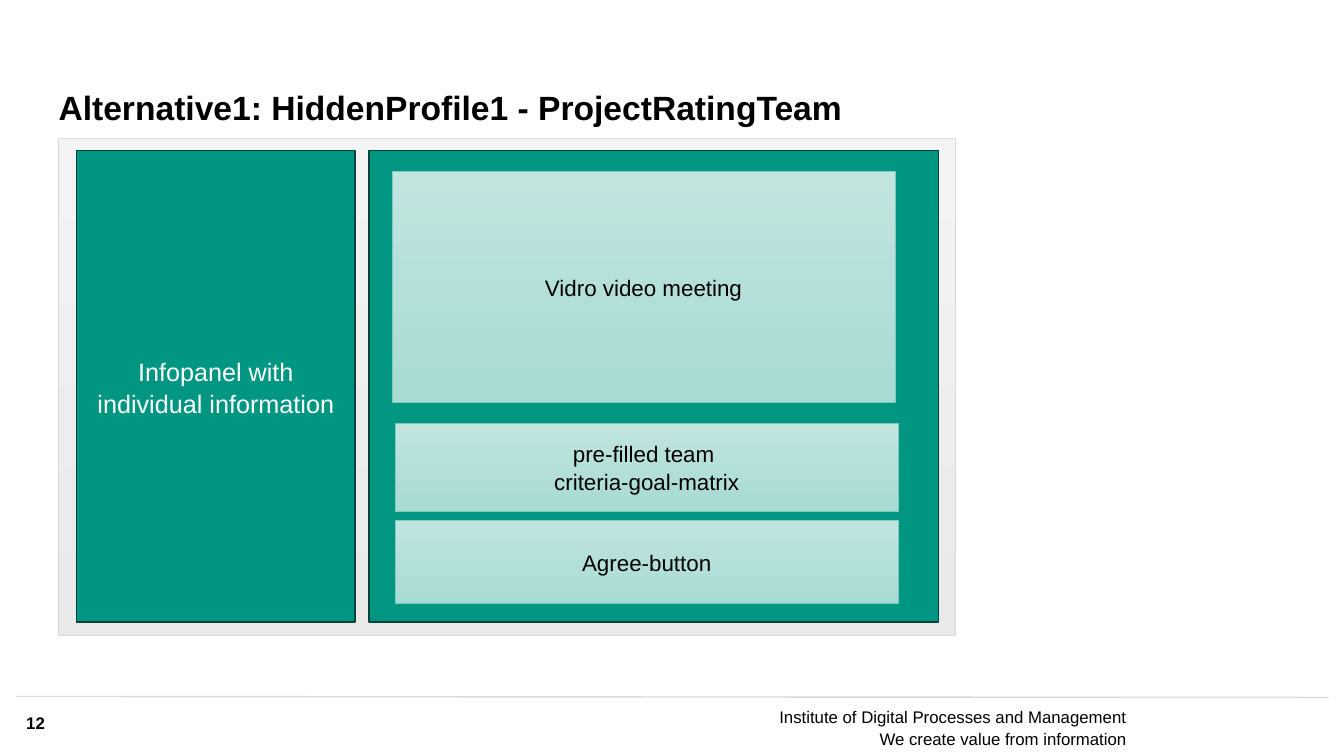
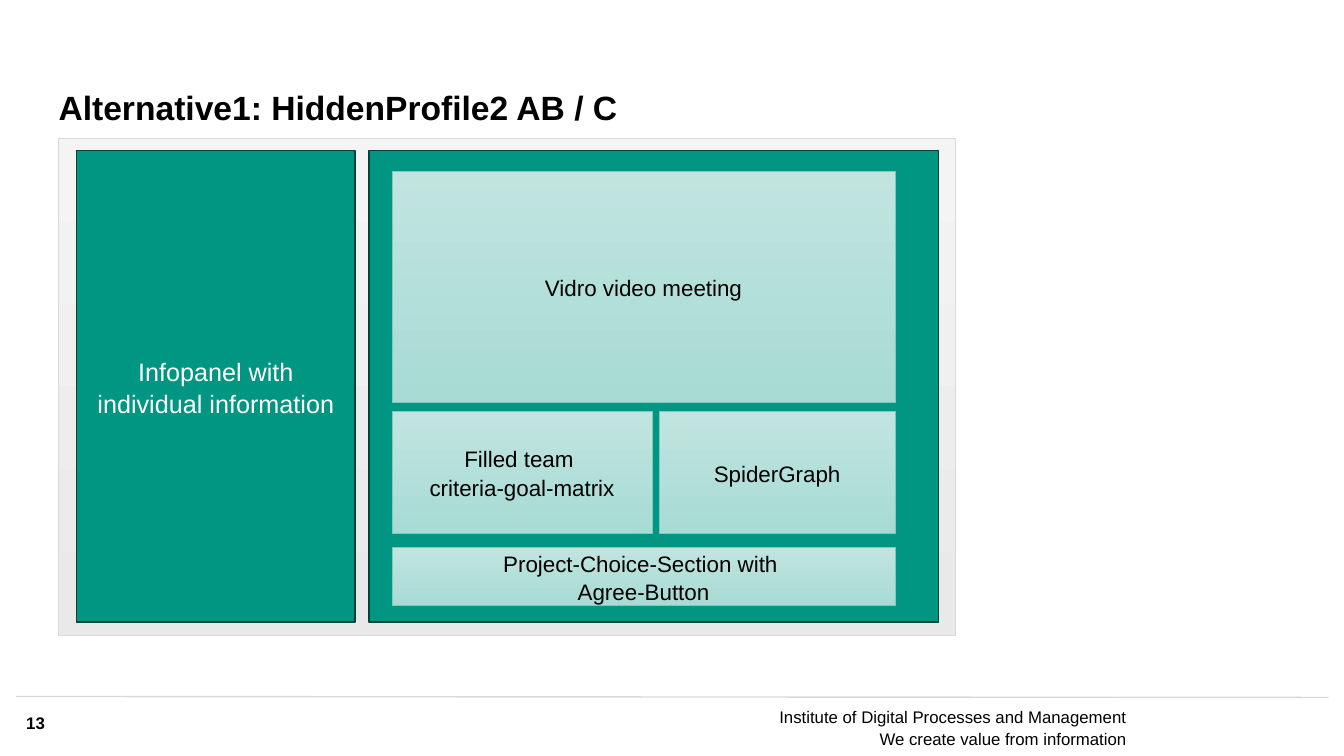
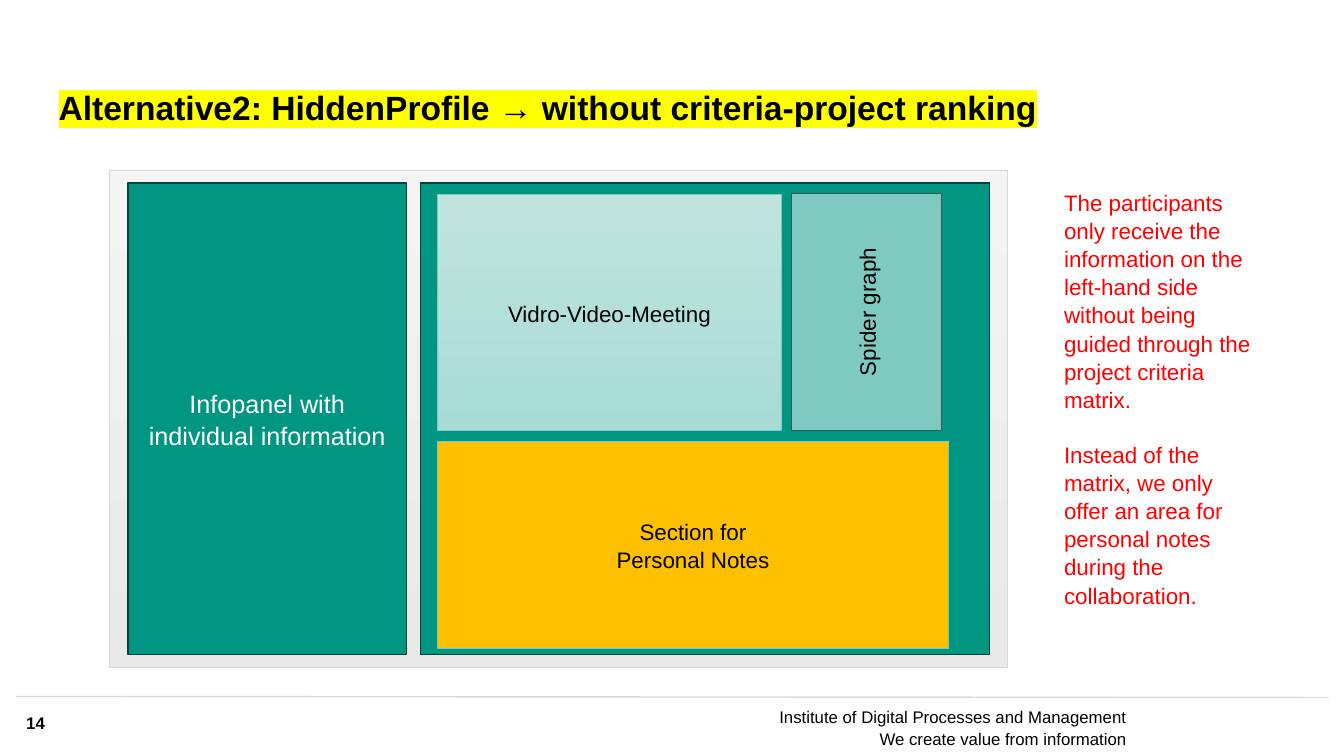
"""Build three slides that show the screen layouts of a team experiment."""
import lxml.etree
import pptx
import pptx.dml.color
import pptx.enum.shapes
import pptx.enum.text
import pptx.oxml.ns
import pptx.util

Pt = pptx.util.Pt
ALIGN = pptx.enum.text.PP_ALIGN
ANCHOR = pptx.enum.text.MSO_ANCHOR
qn = pptx.oxml.ns.qn

BOX_FRAME = {"word_wrap": True, "vertical_anchor": ANCHOR.MIDDLE}
CENTRED = {"alignment": ALIGN.CENTER, "line_spacing": 1.05}
FLUSH = {"word_wrap": True, "margin_left": 0, "margin_right": 0, "margin_top": 0, "margin_bottom": 0}

STYLES = {
    "title": {"frame": {**FLUSH, "vertical_anchor": ANCHOR.BOTTOM}, "paragraph": {"line_spacing": 0.9},
              "font": {"size": Pt(24), "bold": True}},
    "footer": {"frame": FLUSH, "paragraph": {"alignment": ALIGN.RIGHT, "line_spacing": 1.08},
               "font": {"size": Pt(12)}},
    "number": {"frame": FLUSH, "font": {"size": Pt(12), "bold": True}},
    "remark": {"frame": {"word_wrap": True}, "paragraph": {"line_spacing": 1.05, "space_after": Pt(19)},
               "font": {"size": Pt(16)}, "ink": "FF0000"},
    "screen": {"fill": ["F4F4F4", "E9E9E9"], "line": ("D9D9D9", 0.5)},
    "panel": {"fill": ["009682"], "line": ("004239", 1), "frame": BOX_FRAME, "paragraph": CENTRED,
              "font": {"size": Pt(18)}, "ink": "FFFFFF"},
    "tile": {"fill": ["C1E4DF", "A7DBD4"], "line": ("7FCAC0", 0.5), "frame": BOX_FRAME,
             "paragraph": CENTRED, "font": {"size": Pt(16)}},
}
STYLES["notes"] = {**STYLES["tile"], "fill": ["FFC000"]}
STYLES["upright"] = {**STYLES["tile"], "fill": ["7FCAC0"], "line": ("385954", 1), "vert": "vert270"}
STYLES["marked title"] = {**STYLES["title"], "highlight": "FFFF00"}

TILE_LEFT, TILE_WIDTH = 280, 359.3
VIDEO = ("Vidro video meeting", "tile", (TILE_LEFT, 122.4, TILE_WIDTH, 165))
SLIDES = [
    {"title": "Alternative1: HiddenProfile1 - ProjectRatingTeam", "style": "title", "screen": (41.8, 98.6),
     "blocks": [
         ("pre-filled team \vcriteria-goal-matrix", "tile", (282.3, 302.4, TILE_WIDTH, 62.7)),
         ("Agree-button", "tile", (282.3, 372, TILE_WIDTH, 59)),
         VIDEO]},
    {"title": "Alternative1: HiddenProfile2 AB / C", "style": "title", "screen": (41.8, 98.6),
     "blocks": [
         ("Filled team \vcriteria-goal-matrix", "tile", (TILE_LEFT, 293.8, 185.8, 87.3)),
         VIDEO,
         ("SpiderGraph", "tile", (470.9, 293.8, 168.5, 87.3)),
         ("Project-Choice-Section with \vAgree-Button", "tile", (TILE_LEFT, 391, TILE_WIDTH, 41.6))]},
    {"title": "Alternative2: HiddenProfile → without criteria-project ranking", "style": "marked title",
     "screen": (78.5, 121.8),
     "blocks": [
         ("Vidro-Video-Meeting", "tile", (312.4, 139, 245.8, 168.5)),
         ("Spider graph", "upright", (565.2, 138.4, 107.3, 169)),
         ("Section for\nPersonal Notes", "notes", (312.4, 315.3, 365.2, 147.6)),
         ("The participants only receive the information on the left-hand side without being guided "
          "through the project criteria matrix.\nInstead of the matrix, we only offer an area for "
          "personal notes during the collaboration.", "remark", (753, 130.4, 156.2, 298))]},
]


def colour(hex_text):
    return pptx.dml.color.RGBColor.from_string(hex_text)


def add_block(slide, text, style_name, box):
    style = STYLES[style_name]
    place = [Pt(length) for length in box]
    if "fill" in style:
        shape = slide.shapes.add_shape(pptx.enum.shapes.MSO_SHAPE.RECTANGLE, *place)
        shape.shadow.inherit = False
        if len(style["fill"]) == 1:
            shape.fill.solid()
            shape.fill.fore_color.rgb = colour(style["fill"][0])
        else:
            shape.fill.gradient()
            shape.fill.gradient_angle = 270
            for stop, shade in zip(shape.fill.gradient_stops, style["fill"]):
                stop.color.rgb = colour(shade)
        shade, width = style["line"]
        shape.line.color.rgb = colour(shade)
        shape.line.width = Pt(width)
    else:
        shape = slide.shapes.add_textbox(*place)
    if not text:
        return
    frame = shape.text_frame
    frame.text = text
    for name, value in style["frame"].items():
        setattr(frame, name, value)
    if "vert" in style:
        shape.element.txBody.find(qn("a:bodyPr")).set("vert", style["vert"])
    for paragraph in frame.paragraphs:
        for name, value in style.get("paragraph", {}).items():
            setattr(paragraph, name, value)
        for run in paragraph.runs:
            for name, value in {"name": "Arial", **style["font"]}.items():
                setattr(run.font, name, value)
            run.font.color.rgb = colour(style.get("ink", "000000"))
            if "highlight" in style:
                highlight = lxml.etree.Element(qn("a:highlight"))
                lxml.etree.SubElement(highlight, qn("a:srgbClr"), val=style["highlight"])
                run.font.color.rgb = colour("000000")
                run._r.rPr.find(qn("a:latin")).addprevious(highlight)


presentation = pptx.Presentation()
presentation.slide_width = Pt(960)
presentation.slide_height = Pt(540)

for number, content in enumerate(SLIDES, start=12):
    slide = presentation.slides.add_slide(presentation.slide_layouts[6])

    rule = slide.shapes.add_connector(
        pptx.enum.shapes.MSO_CONNECTOR.STRAIGHT, Pt(11.5), Pt(497.5), Pt(949), Pt(498.2))
    rule.line.color.rgb = colour("D9D9D9")
    rule.line.width = Pt(1)
    lxml.etree.SubElement(rule.element.spPr, qn("a:effectLst"))

    add_block(slide, "Institute of Digital Processes and Management\vWe create value from information",
              "footer", (517.5, 504, 287.3, 28))
    add_block(slide, str(number), "number", (18.7, 509, 34, 17.3))
    add_block(slide, content["title"], content["style"], (41.8, 31, 721.4, 60.5))

    left, top = content["screen"]
    add_block(slide, "", "screen", (left, top, 640.8, 355))
    add_block(slide, "Infopanel with individual information", "panel", (left + 13, top + 8.8, 198.7, 337))
    add_block(slide, "", "panel", (left + 221.7, top + 8.8, 406.8, 337))

    for text, style_name, box in content["blocks"]:
        add_block(slide, text, style_name, box)

presentation.save("out.pptx")
